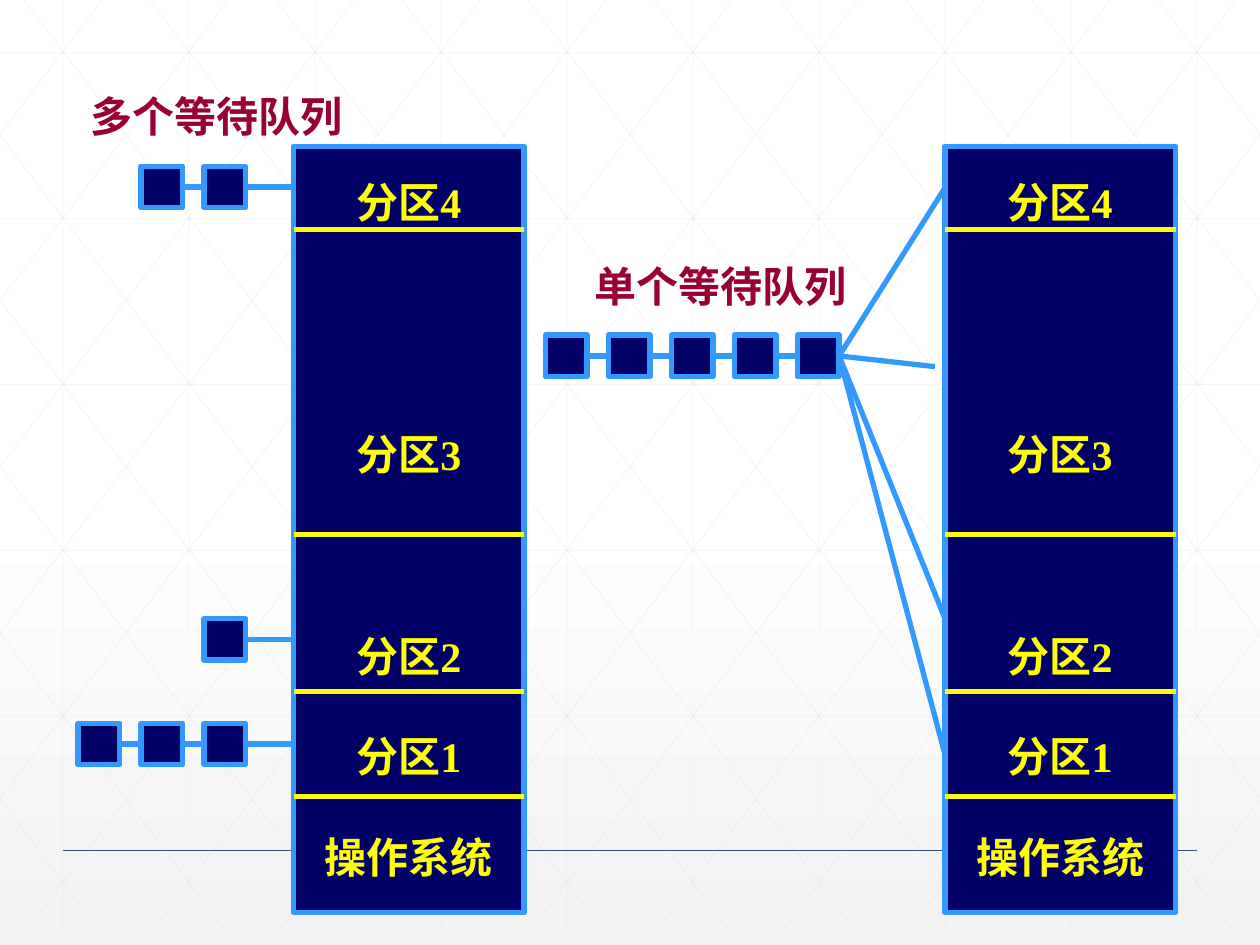
import pptx
import pptx.util
import pptx.oxml
import pptx.oxml.ns
import pptx.dml.color
import pptx.enum.shapes
import pptx.enum.text
from dataclasses import dataclass
from lxml import etree
from pptx.util import Inches


@dataclass
class Theme:
    font: str = "Times New Roman"
    text_size: int = 24
    block: str = "000066"
    outline: str = "3399FF"
    divider: str = "FFFF00"
    caption: str = "990033"
    grid: str = "D9D9D9"
    footer: str = "384C81"
    gradient: tuple = ((0, "FFFFFF"), (53, "FFFFFF"), (100, "F2F2F2"))
    thick: float = 3
    line_height: float = 28.8


def rgb(value):
    return pptx.dml.color.RGBColor.from_string(value)


class SlideBuilder:
    def __init__(self, slide, theme):
        self.slide = slide
        self.shapes = slide.shapes
        self.theme = theme

    def background(self):
        stops = "".join(
            f'<a:gs pos="{pos * 1000}"><a:srgbClr val="{color}"/></a:gs>'
            for pos, color in self.theme.gradient)
        fill = self.slide.background.fill
        fill.gradient()
        gradient = self.slide.background._cSld.find(".//" + pptx.oxml.ns.qn("a:gradFill"))
        new_gradient = pptx.oxml.parse_xml(
            f'<a:gradFill {pptx.oxml.ns.nsdecls("a")} rotWithShape="1"><a:gsLst>{stops}</a:gsLst>'
            '<a:lin ang="5400000" scaled="0"/></a:gradFill>')
        gradient.getparent().replace(gradient, new_gradient)

    def line(self, x1, y1, x2, y2, color, width, opacity=None):
        connector = self.shapes.add_connector(
            pptx.enum.shapes.MSO_CONNECTOR.STRAIGHT,
            Inches(x1), Inches(y1), Inches(x2), Inches(y2))
        connector.line.color.rgb = rgb(color)
        connector.line.width = pptx.util.Pt(width)
        properties = connector._element.spPr
        if opacity is not None:
            tint = properties.find(".//" + pptx.oxml.ns.qn("a:srgbClr"))
            etree.SubElement(tint, pptx.oxml.ns.qn("a:alpha"), val=str(opacity * 1000))
        etree.SubElement(properties, pptx.oxml.ns.qn("a:effectLst"))
        return connector

    def rectangle(self, x, y, width, height):
        box = self.shapes.add_shape(
            pptx.enum.shapes.MSO_SHAPE.RECTANGLE,
            Inches(x), Inches(y), Inches(width), Inches(height))
        box.shadow.inherit = False
        box.fill.solid()
        box.fill.fore_color.rgb = rgb(self.theme.block)
        box.line.color.rgb = rgb(self.theme.outline)
        box.line.width = pptx.util.Pt(self.theme.thick)
        return box

    def style_text(self, paragraph, color):
        for run in paragraph.runs:
            run.font.name = self.theme.font
            run.font.size = pptx.util.Pt(self.theme.text_size)
            run.font.bold = True
            run.font.color.rgb = rgb(color)

    def caption(self, text, x, y):
        box = self.shapes.add_textbox(Inches(x), Inches(y), Inches(2.21), Inches(0.5))
        frame = box.text_frame
        frame.word_wrap = False
        frame.text = text
        self.style_text(frame.paragraphs[0], self.theme.caption)

    def memory(self, x, y, width, height, partitions, divider_heights):
        """Memory column; each partition is (label, lines of space above it)."""
        frame = self.rectangle(x, y, width, height).text_frame
        frame.word_wrap = False
        frame.vertical_anchor = pptx.enum.text.MSO_ANCHOR.MIDDLE
        frame.text = "\n".join(label for label, _ in partitions)
        for paragraph, (_, gap) in zip(frame.paragraphs, partitions):
            paragraph.alignment = pptx.enum.text.PP_ALIGN.CENTER
            if gap:
                paragraph.space_before = pptx.util.Pt(gap * self.theme.line_height)
            self.style_text(paragraph, self.theme.divider)
        for level in divider_heights:
            self.line(x, level, x + width, level, self.theme.divider, self.theme.thick)

    def queue(self, last_x, y, count, targets, side=0.33, pitch=0.5):
        """Chain of waiting jobs whose last one leads to every target point."""
        jobs = [self.rectangle(last_x - pitch * i, y, side, side)
                for i in reversed(range(count))]
        middle = y + side / 2
        for i, (job, following) in enumerate(zip(jobs, jobs[1:])):
            left = last_x - pitch * (count - 1 - i) + side
            link = self.line(left, middle, left + pitch - side, middle,
                             self.theme.outline, self.theme.thick)
            link.begin_connect(job, 3)
            link.end_connect(following, 1)
        for target_x, target_y in targets:
            link = self.line(last_x + side, middle, target_x, target_y,
                             self.theme.outline, self.theme.thick)
            link.begin_connect(jobs[-1], 3)

    def grid(self, width=10, bottom=7.37, run=5.59):
        """Faint lattice of verticals, horizontals and mirrored diagonals."""
        segments = [(0.5 + i, 0, 0.5 + i, bottom) for i in range(10)]
        segments += [(0, 0.42 + 1.316 * i, width, 0.42 + 1.316 * i) for i in range(6)]
        slope = bottom / run
        diagonals = []
        for i in range(-5, 10):
            top_x = 0.19 + i
            start, end = max(top_x, 0), min(top_x + run, width)
            diagonals.append((start, (start - top_x) * slope, end, (end - top_x) * slope))
        segments += diagonals
        segments += [(width - x1, y1, width - x2, y2) for x1, y1, x2, y2 in diagonals]
        for segment in segments:
            self.line(*segment, self.theme.grid, 0.5, opacity=25)


def main():
    presentation = pptx.Presentation()
    presentation.slide_width = Inches(10)
    presentation.slide_height = Inches(7.5)
    slide = presentation.slides.add_slide(presentation.slide_layouts[6])
    theme = Theme()
    builder = SlideBuilder(slide, theme)

    # Backdrop
    builder.background()
    builder.grid()
    builder.line(0.5, 6.75, 9.5, 6.75, theme.footer, 1)

    # Memory layout shared by both schemes
    partitions = [("分区4", 0), ("分区3", 4), ("分区2", 3), ("分区1", 1), ("操作系统", 1)]
    dividers = [1.82, 4.24, 5.49, 6.32]
    top, width, height = 1.16, 1.83, 6.08

    # One queue for all partitions
    single_x = 7.5
    builder.memory(single_x, top, width, height, partitions, dividers)
    builder.caption("单个等待队列", 4.62, 2.02)
    builder.queue(6.33, 2.66, 5,
                  [(single_x, 1.49), (7.42, 2.91), (single_x, 4.91), (single_x, 5.99)])

    # A queue for each partition
    builder.caption("多个等待队列", 0.62, 0.67)
    for queue_y, jobs in [(1.32, 2), (4.91, 1), (5.74, 3)]:
        builder.queue(1.62, queue_y, jobs, [(2.37, queue_y + 0.165)])
    builder.memory(2.33, top, width, height, partitions, dividers)

    presentation.save("out.pptx")


if __name__ == "__main__":
    main()
